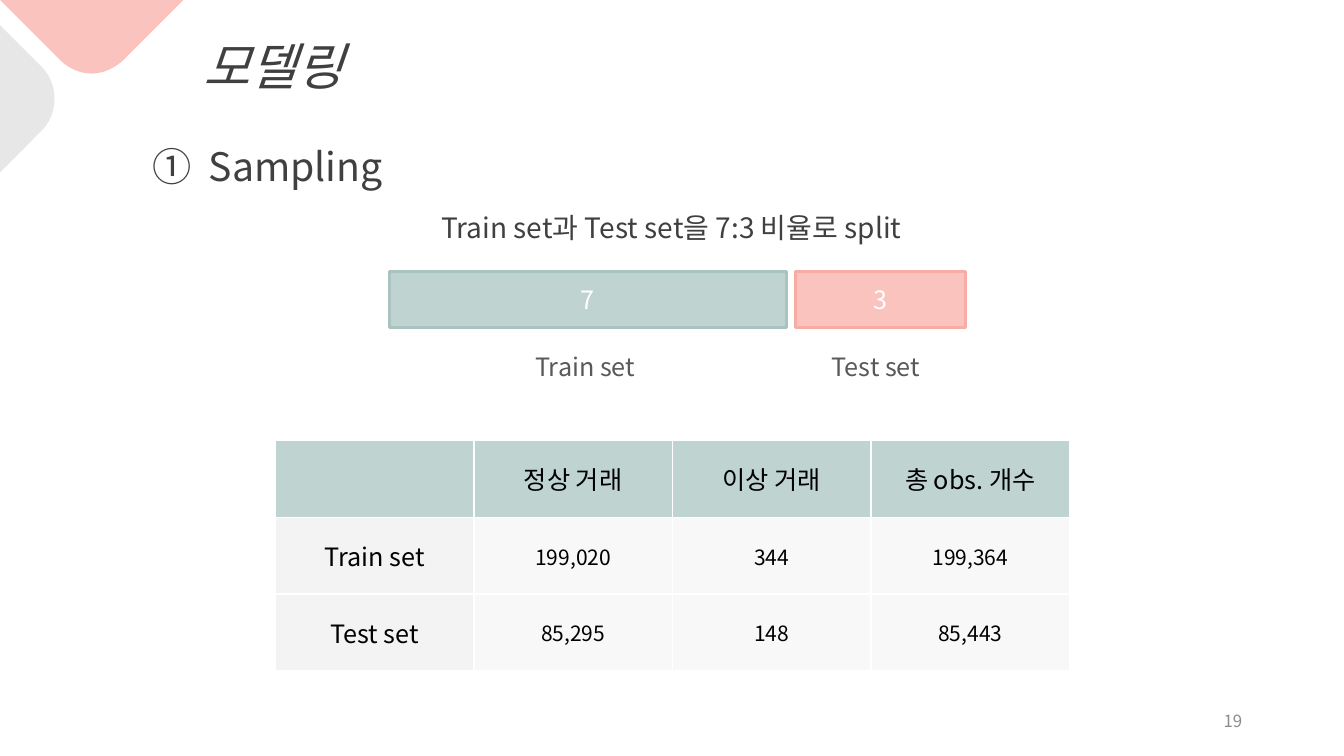
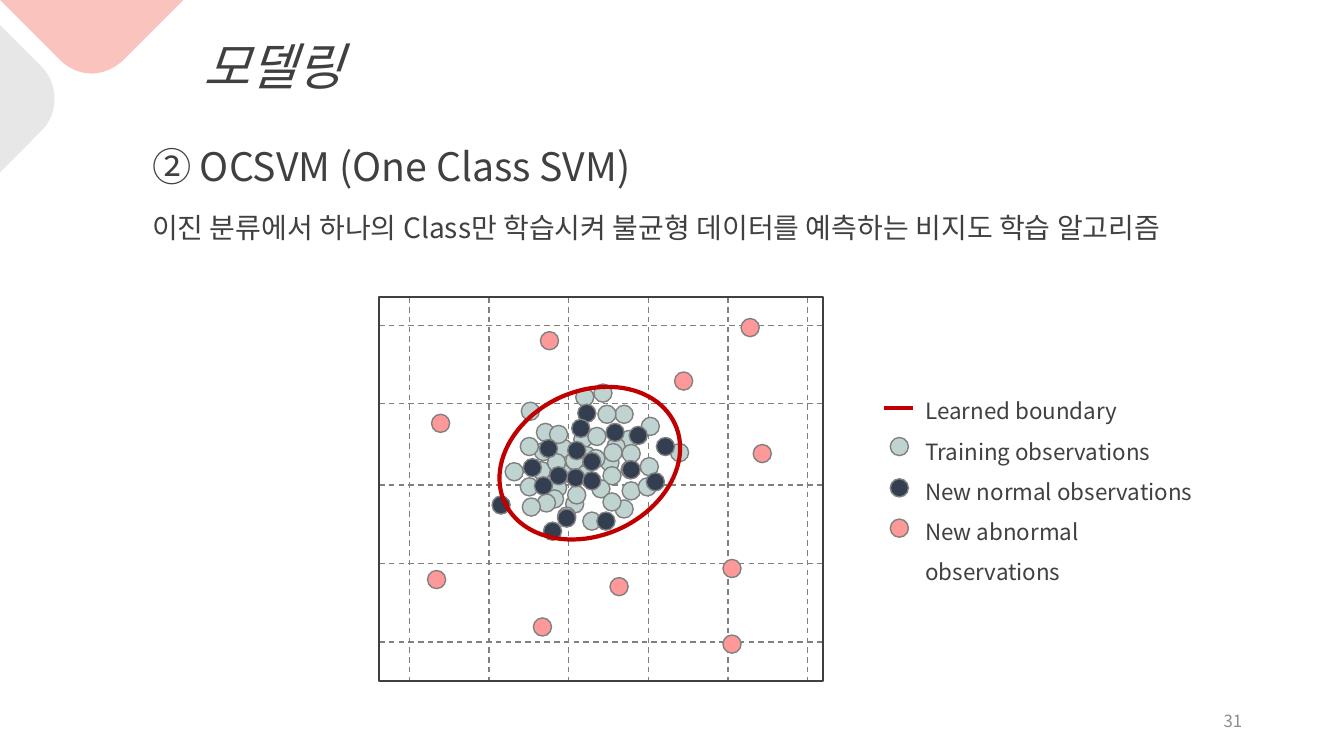
from lxml.etree import SubElement
from pptx import Presentation
from pptx.dml.color import RGBColor
from pptx.enum.dml import MSO_LINE_DASH_STYLE as Dash
from pptx.enum.shapes import MSO_CONNECTOR as Connector, MSO_SHAPE as Shape
from pptx.enum.text import MSO_ANCHOR as Anchor, PP_ALIGN as Align
from pptx.oxml.ns import qn
from pptx.util import Inches, Pt

FONT = "Noto Sans CJK KR"
COLORS = {
    "sage": "BFD3D1", "sage_edge": "A9C3C1", "pink": "FAC3BE", "pink_edge": "F8ACA6",
    "gray": "E7E7E7", "cell": "F3F3F3", "text": "404040", "label": "595959",
    "number": "8C8C8C", "grid": "808080", "black": "000000", "white": "FFFFFF",
    "navy": "333F50", "coral": "FF9999", "red": "C00000",
}
TITLE = "모델링"
CORNERS = [
    ("pink", (0, 0), [
        [(0.6, 0.6)],
        [(0.68, 0.68), (0.8, 0.73), (0.91, 0.73)],
        [(1.02, 0.73), (1.13, 0.68), (1.22, 0.6)],
        [(1.82, 0)],
    ]),
    ("gray", (0, 0.25), [
        [(0.41, 0.66)],
        [(0.5, 0.75), (0.54, 0.86), (0.54, 0.98)],
        [(0.54, 1.1), (0.5, 1.21), (0.41, 1.3)],
        [(0, 1.71)],
    ]),
]
SPLIT = [
    ("7", "Train set", 3.86, 3.94, 5.21, "sage", "sage_edge"),
    ("3", "Test set", 7.89, 1.69, 8.15, "pink", "pink_edge"),
]
COUNTS = [
    ["", "정상 거래", "이상 거래", "총 obs. 개수"],
    ["Train set", "199,020", "344", "199,364"],
    ["Test set", "85,295", "148", "85,443"],
]
PLOT = (3.76, 2.95, 4.4, 3.81)
GRID_COLUMNS = [4.06 + 0.79 * step for step in range(6)]
GRID_ROWS = [3.23, 4, 4.81, 5.59, 6.37]
DOT = 0.18
OBSERVATIONS = {
    "sage": [
        (5.28, 4.58), (5.44, 4.75), (5.7, 4.62), (5.61, 4.91), (5.78, 5.08), (5.53, 5.03),
        (5.96, 4.5), (5.98, 4.63), (6.65, 4.4), (5.89, 3.81), (5.17, 3.99), (5.5, 4.36),
        (6.1, 4.96), (6.36, 4.14), (6.15, 4.27), (6.02, 4.34), (6.17, 4.41), (5.87, 4.76),
        (5.69, 4.27), (5.49, 4.61), (5.73, 4.43), (5.83, 4.24), (5.41, 4.86), (6.17, 4.78),
        (5.32, 4.2), (5.3, 4.39), (5.61, 4.48), (5.82, 4.46), (5.63, 4.82), (5.16, 4.74),
        (5.33, 4.9), (6.1, 4.02), (5.71, 3.85), (5.18, 4.94), (5.01, 4.59), (5.16, 4.34),
        (6.35, 4.54), (5.93, 4.02), (5.99, 4.4), (6.16, 4.57), (6.33, 4.74), (5.45, 4.22),
        (5.43, 4.5), (5.98, 4.89),
    ],
    "coral": [
        (6.05, 5.73), (5.29, 6.13), (7.17, 5.55), (5.36, 3.29), (4.28, 4.11), (4.24, 5.66),
        (7.17, 6.3), (7.47, 4.41), (7.35, 3.16), (6.69, 3.69),
    ],
    "navy": [
        (6.24, 4.23), (5.62, 4.65), (5.3, 4.73), (5.73, 4.01), (5.78, 4.68), (5.63, 4.38),
        (6.41, 4.69), (5.78, 4.49), (5.45, 4.63), (6.01, 4.2), (6.17, 4.57), (5.67, 4.16),
        (4.88, 4.92), (5.39, 5.18), (5.53, 5.05), (5.35, 4.36), (6.51, 4.34), (5.19, 4.55),
        (5.92, 5.08),
    ],
}
LEGEND = ["Learned boundary", "Training observations", "New normal observations",
          "New abnormal observations"]
LEGEND_DOTS = [("sage", 4.34), ("navy", 4.75), ("coral", 5.15)]


def rgb(name):
    return RGBColor.from_string(COLORS[name])


def write(para, text, size, color, align=Align.LEFT, spacing=None, italic=False):
    para.alignment = align
    if spacing:
        para.line_spacing = spacing
    span = para.add_run()
    span.text = text
    font = span.font
    font.size, font.name, font.bold, font.italic = Pt(size), FONT, False, italic
    font.color.rgb = rgb(color)
    SubElement(font._element, qn("a:ea"), typeface=FONT)


def add_text(page, at, lines, size, color="text", align=Align.LEFT, spacing=1.5,
             anchor=Anchor.TOP, italic=False):
    frame = page.shapes.add_textbox(*map(Inches, at)).text_frame
    frame.word_wrap = True
    frame.vertical_anchor = anchor
    for index, line in enumerate(lines):
        para = frame.add_paragraph() if index else frame.paragraphs[0]
        write(para, line, size, color, align, spacing, italic)


def add_box(page, kind, at, fill, edge, weight):
    box = page.shapes.add_shape(kind, *map(Inches, at))
    box.shadow.inherit = False
    if fill:
        box.fill.solid()
        box.fill.fore_color.rgb = rgb(fill)
    else:
        box.fill.background()
    box.line.color.rgb = rgb(edge)
    box.line.width = Pt(weight)
    return box


def add_dot(page, left, top, color):
    add_box(page, Shape.OVAL, (left, top, DOT, DOT), color, "grid", 1)


def add_line(page, ends, color, weight, dash=None):
    line = page.shapes.add_connector(Connector.STRAIGHT, *map(Inches, ends))
    line.line.color.rgb = rgb(color)
    line.line.width = Pt(weight)
    if dash:
        line.line.dash_style = dash
    SubElement(line._element.spPr, qn("a:effectLst"))


def curve(start, first, second, end, steps=16):
    for step in range(1, steps + 1):
        t = step / steps
        u = 1 - t
        yield tuple(u**3 * a + 3 * u * u * t * b + 3 * u * t * t * c + t**3 * d
                    for a, b, c, d in zip(start, first, second, end))


def add_corner(page, color, start, segments):
    points = [start]
    for segment in segments:
        points.extend(curve(points[-1], *segment) if len(segment) == 3 else segment)
    points = [(Inches(x), Inches(y)) for x, y in points]
    builder = page.shapes.build_freeform(*points[0])
    builder.add_line_segments(points[1:], close=True)
    corner = builder.convert_to_shape()
    corner.shadow.inherit = False
    corner.fill.solid()
    corner.fill.fore_color.rgb = rgb(color)
    corner.line.fill.background()


def add_page(deck, heading, number):
    page = deck.slides.add_slide(deck.slide_layouts[6])
    for corner in CORNERS:
        add_corner(page, *corner)
    add_text(page, (1.92, 0, 7.76, 0.92), [TITLE], 36, italic=True)
    add_text(page, (1.41, 1.13, 6.42, 0.74), [heading], 28)
    add_text(page, (9.42, 6.95, 3, 0.4), [number], 12, "number", Align.RIGHT, None,
             Anchor.MIDDLE)
    return page


def style_cell(cell, fill, alpha):
    props = cell._tc.get_or_add_tcPr()
    for side in ("a:lnL", "a:lnR", "a:lnT", "a:lnB"):
        border = SubElement(props, qn(side), w=str(Pt(1.5)))
        SubElement(SubElement(border, qn("a:solidFill")), qn("a:srgbClr"), val=COLORS["white"])
    color = SubElement(SubElement(props, qn("a:solidFill")), qn("a:srgbClr"), val=COLORS[fill])
    if alpha:
        SubElement(color, qn("a:alpha"), val=str(alpha * 1000))


def add_counts(page):
    at = (2.73, 4.37, 7.88, 2.29)
    table = page.shapes.add_table(len(COUNTS), len(COUNTS[0]), *map(Inches, at)).table
    for r, row in enumerate(COUNTS):
        for c, text in enumerate(row):
            cell = table.cell(r, c)
            cell.vertical_anchor = Anchor.MIDDLE
            is_value = r > 0 and c > 0
            style_cell(cell, "cell" if r else "sage", 52 if is_value else None)
            if text:
                write(cell.text_frame.paragraphs[0], text, 15 if is_value else 18, "black",
                      Align.CENTER)


def build_sampling(deck):
    page = add_page(deck, "①  Sampling", "19")
    add_text(page, (1.52, 1.87, 10.28, 0.56), ["Train set과 Test set을 7:3 비율로 split"], 20,
             align=Align.CENTER)
    for share, label, left, width, label_left, fill, edge in SPLIT:
        bar = add_box(page, Shape.RECTANGLE, (left, 2.69, width, 0.56), fill, edge, 2.25)
        bar.text_frame.vertical_anchor = Anchor.MIDDLE
        write(bar.text_frame.paragraphs[0], share, 18, "white", Align.CENTER)
        add_text(page, (label_left, 3.29, 1.49, 0.51), [label], 18, "label")
    add_counts(page)


def build_ocsvm(deck):
    page = add_page(deck, "② OCSVM (One Class SVM)", "31")
    add_text(page, (1.41, 1.87, 10.28, 0.56),
             ["이진 분류에서 하나의 Class만 학습시켜 불균형 데이터를 예측하는 비지도 학습 알고리즘"], 20)
    left, top, width, height = PLOT
    for x in GRID_COLUMNS:
        add_line(page, (x, top, x, top + height), "grid", 1, Dash.DASH)
    for y in GRID_ROWS:
        add_line(page, (left, y, left + width, y), "grid", 1, Dash.DASH)
    add_box(page, Shape.RECTANGLE, PLOT, None, "text", 1.5)
    for color, points in OBSERVATIONS.items():
        for x, y in points:
            add_dot(page, x, y, color)
    boundary = add_box(page, Shape.OVAL, (4.92, 3.88, 1.86, 1.43), None, "red", 3)
    boundary.rotation = 335.2
    add_text(page, (9.08, 3.76, 3.05, 1.68), LEGEND, 16)
    add_line(page, (8.77, 4.05, 9.06, 4.05), "red", 3)
    for color, y in LEGEND_DOTS:
        add_dot(page, 8.83, y, color)


def main():
    deck = Presentation()
    deck.slide_width, deck.slide_height = Inches(13.33), Inches(7.5)
    build_sampling(deck)
    build_ocsvm(deck)
    deck.save("out.pptx")


if __name__ == "__main__":
    main()
